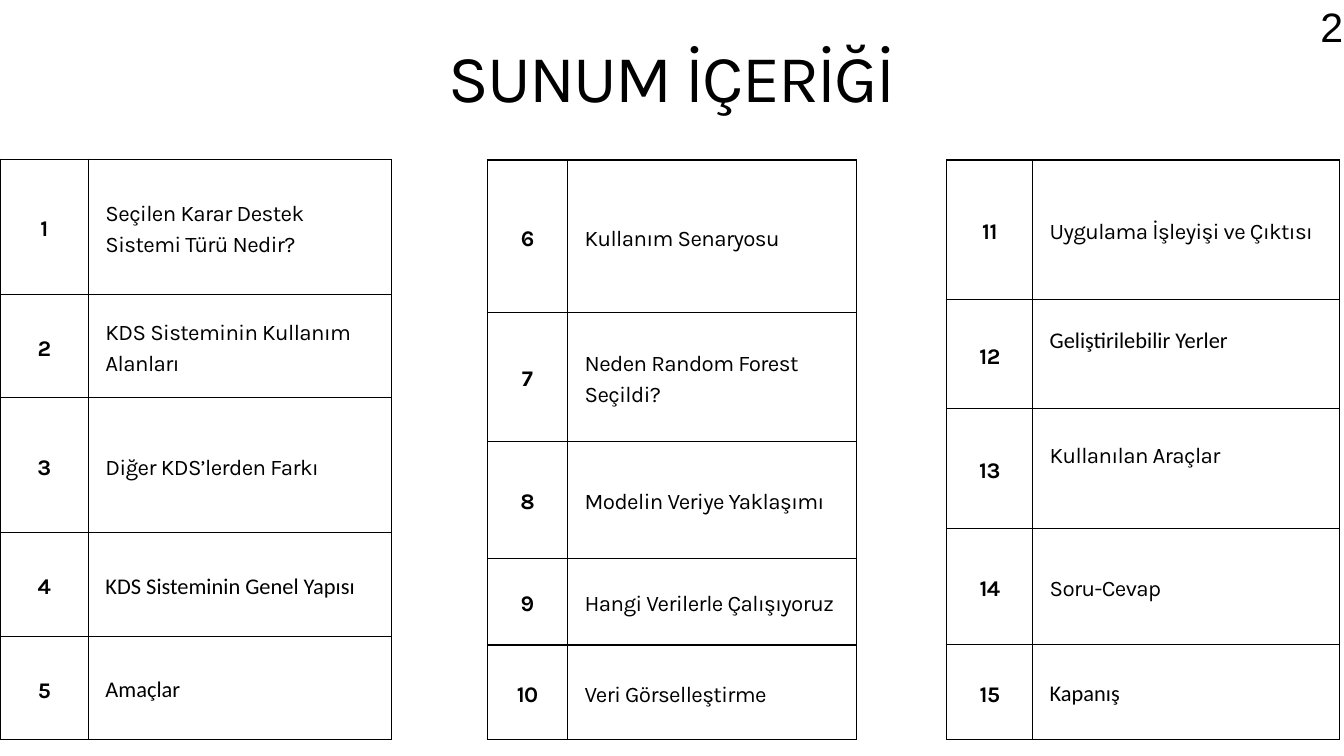
from lxml import etree
from pptx import Presentation, util as u
from pptx.dml.color import RGBColor
from pptx.enum import text
from pptx.oxml.ns import qn

COLORS = {"ink": "000000", "paper": "FFFFFF"}
BODY, PLAIN = "Karla", "Calibri"
INSET, LINE = 0.25, 33.4

# Topics: (wording, font, raised by half a line)
TABLES = [
    {"left": 0, "top": 2.37, "cols": [1.32, 4.51],
     "rows": [2.01, 1.54, 2.01, 1.54, 1.54],
     "topics": [("Seçilen Karar Destek Sistemi Türü Nedir?", BODY, False),
                ("KDS Sisteminin Kullanım Alanları", BODY, False),
                ("Diğer KDS’lerden Farkı", BODY, False),
                ("KDS Sisteminin Genel Yapısı", PLAIN, False),
                ("Amaçlar", PLAIN, False)]},
    {"left": 7.25, "top": 2.38, "cols": [1.2, 4.3],
     "rows": [2.27, 1.92, 1.74, 1.29, 1.4],
     "topics": [("Kullanım Senaryosu", BODY, False),
                ("Neden Random Forest Seçildi?", BODY, False),
                ("Modelin Veriye Yaklaşımı", BODY, False),
                ("Hangi Verilerle Çalışıyoruz", BODY, False),
                ("Veri Görselleştirme", BODY, False)]},
    {"left": 14.09, "top": 2.38, "cols": [1.28, 4.56],
     "rows": [2.08, 1.62, 1.79, 1.72, 1.42],
     "topics": [("Uygulama İşleyişi ve Çıktısı", BODY, False),
                ("Geliştirilebilir Yerler", PLAIN, True),
                ("Kullanılan Araçlar", BODY, True),
                ("Soru-Cevap", BODY, False),
                ("Kapanış", PLAIN, False)]},
]
# Wording, box, font, size, line spacing, letter spacing, alignment
HEADINGS = [
    ("SUNUM İÇERİĞİ", (1.12, 0.53, 17.75, 1.2), BODY, 72, 86.4, -1.8,
     text.PP_ALIGN.CENTER),
    ("2", (19.65, -0.1, 0.31, 0.84), "Arial", 44, 61.7, -1.1,
     text.PP_ALIGN.RIGHT),
]


def color(name):
    return RGBColor.from_string(COLORS[name])


def write(frame, wording, font, size, leading, tracking, align, bold=False):
    para = frame.paragraphs[0]
    para.alignment, para.line_spacing = align, u.Pt(leading)
    span = para.add_run()
    span.text = wording
    span.font.name, span.font.size, span.font.bold = font, u.Pt(size), bold
    span.font.color.rgb = color("ink")
    span._r.get_or_add_rPr().set("spc", str(round(tracking * 100)))


def style_cell(cell, raised):
    """Border the cell on all sides, then fill and inset it."""
    props = cell._tc.get_or_add_tcPr()
    for side in ("lnL", "lnR", "lnT", "lnB"):
        border = etree.SubElement(props, qn(f"a:{side}"), w=str(u.Pt(1.5)))
        fill = etree.SubElement(border, qn("a:solidFill"))
        etree.SubElement(fill, qn("a:srgbClr"), val=COLORS["ink"])
    cell.fill.solid()
    cell.fill.fore_color.rgb = color("paper")
    cell.vertical_anchor = text.MSO_ANCHOR.MIDDLE
    cell.margin_left = cell.margin_right = cell.margin_top = u.Inches(INSET)
    cell.margin_bottom = u.Inches(INSET) + (u.Pt(LINE) if raised else 0)


def add_topics(page, left, top, cols, rows, topics, first):
    frame = page.shapes.add_table(
        len(rows), len(cols), *map(u.Inches, (left, top, sum(cols), sum(rows))))
    table = frame.table
    table.first_row = table.horz_banding = False
    for column, width in zip(table.columns, cols):
        column.width = u.Inches(width)
    for i, (height, (topic, font, raised)) in enumerate(zip(rows, topics)):
        table.rows[i].height = u.Inches(height)
        number, label = table.cell(i, 0), table.cell(i, 1)
        style_cell(number, False)
        style_cell(label, raised)
        write(number.text_frame, str(first + i), BODY, 23.9, LINE, -0.6,
              text.PP_ALIGN.CENTER, bold=True)
        size, tracking = (23.9, -0.6) if font == BODY else (24, 0)
        write(label.text_frame, topic, font, size, LINE, tracking,
              text.PP_ALIGN.LEFT)


def add_heading(page, wording, place, *style):
    frame = page.shapes.add_textbox(*map(u.Inches, place)).text_frame
    frame.word_wrap = True
    frame.auto_size = text.MSO_AUTO_SIZE.SHAPE_TO_FIT_TEXT
    frame.margin_left = frame.margin_right = 0
    frame.margin_top = frame.margin_bottom = 0
    write(frame, wording, *style)


def main():
    deck = Presentation()
    deck.slide_width, deck.slide_height = u.Inches(20), u.Inches(11.25)
    page = deck.slides.add_slide(deck.slide_layouts[6])
    first = 1
    for table in TABLES:
        add_topics(page, **table, first=first)
        first += len(table["topics"])
    for heading in HEADINGS:
        add_heading(page, *heading)
    deck.save("out.pptx")


if __name__ == "__main__":
    main()
